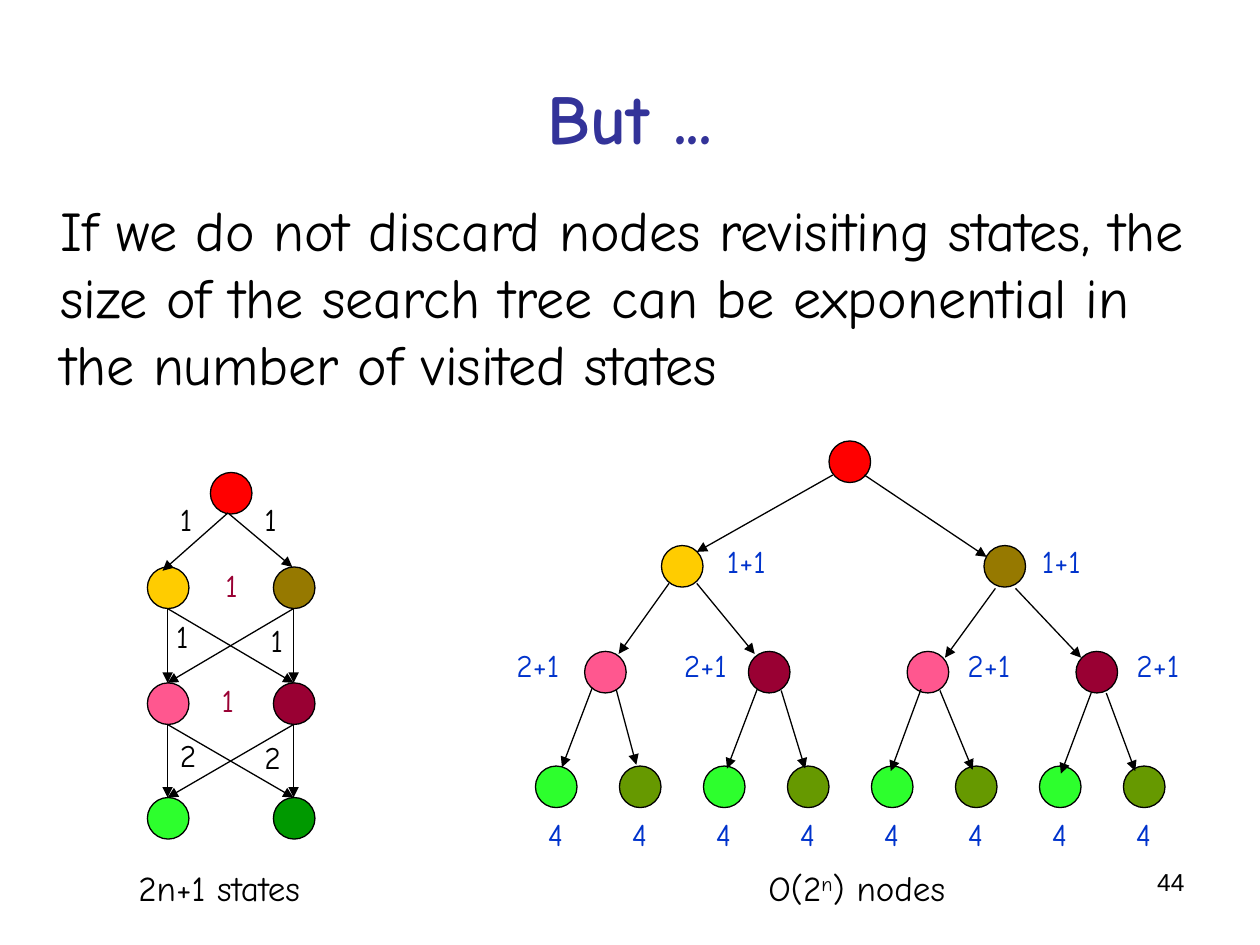
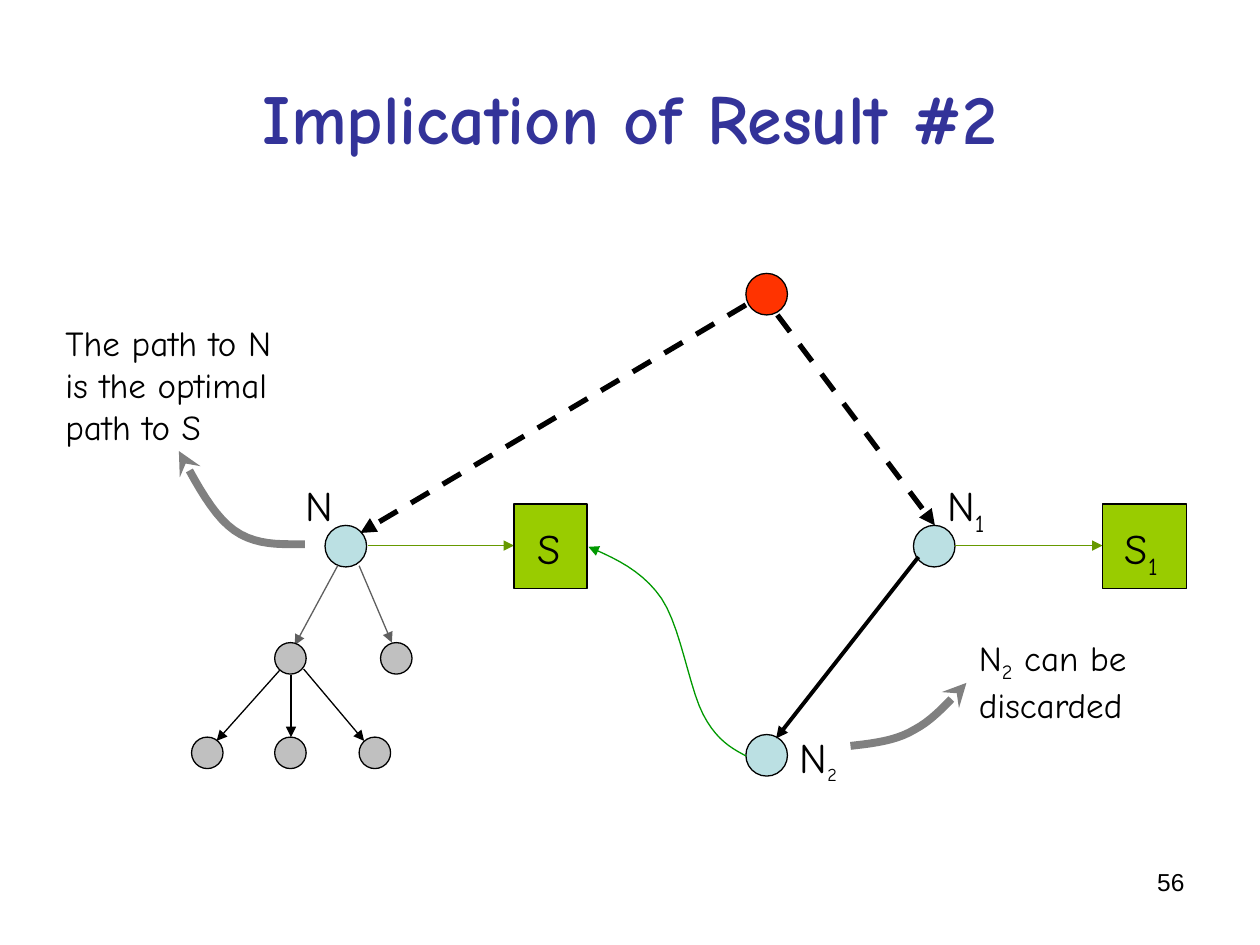
from dataclasses import dataclass

from lxml import etree
from pptx import Presentation
from pptx.dml.color import RGBColor
from pptx.enum.dml import MSO_LINE
from pptx.enum.shapes import MSO_CONNECTOR, MSO_SHAPE
from pptx.enum.text import MSO_ANCHOR, MSO_AUTO_SIZE, PP_ALIGN
from pptx.oxml.ns import qn
from pptx.util import Inches, Pt

OVAL, RECT = MSO_SHAPE.OVAL, MSO_SHAPE.RECTANGLE
STRAIGHT, DASH = MSO_CONNECTOR.STRAIGHT, MSO_LINE.DASH
LEFT, CENTER, RIGHT = PP_ALIGN.LEFT, PP_ALIGN.CENTER, PP_ALIGN.RIGHT
TOP, MIDDLE = MSO_ANCHOR.TOP, MSO_ANCHOR.MIDDLE

BLACK = RGBColor(0x00, 0x00, 0x00)
TITLE_BLUE = RGBColor(0x33, 0x33, 0x99)
COST_BLUE = RGBColor(0x00, 0x33, 0xCC)
RED = RGBColor(0xFF, 0x00, 0x00)
ORANGE_RED = RGBColor(0xFF, 0x33, 0x00)
YELLOW = RGBColor(0xFF, 0xCC, 0x00)
BROWN = RGBColor(0x96, 0x79, 0x00)
PINK = RGBColor(0xFF, 0x57, 0x8F)
WINE = RGBColor(0x99, 0x00, 0x33)
LIGHT_GREEN = RGBColor(0x2D, 0xFF, 0x2D)
GREEN = RGBColor(0x00, 0x99, 0x00)
OLIVE = RGBColor(0x66, 0x99, 0x00)
LIME = RGBColor(0x99, 0xCC, 0x00)
PALE_BLUE = RGBColor(0xBB, 0xE0, 0xE3)
SILVER = RGBColor(0xC0, 0xC0, 0xC0)
GRAY = RGBColor(0x80, 0x80, 0x80)
DARK_GRAY = RGBColor(0x5F, 0x5F, 0x5F)

NODE = 0.33
SMALL_NODE = 0.25
COST_WIDTH = {"1": 0.31, "2": 0.35, "4": 0.35, "1+1": 0.55, "2+1": 0.59}


@dataclass
class Run:
    """A piece of text; baseline is a percentage, negative for subscripts."""
    text: str
    baseline: int = 0
    size: int = 0


def bezier(p0, p1, p2, p3, steps=10):
    """Points of a cubic curve, without its start."""
    for step in range(1, steps + 1):
        t = step / steps
        u = 1 - t
        yield tuple(u**3 * a + 3 * u * u * t * b + 3 * u * t * t * c + t**3 * d
                    for a, b, c, d in zip(p0, p1, p2, p3))


class Deck:
    font = "Comic Neue"

    def __init__(self):
        self.presentation = Presentation()
        self.presentation.slide_width = Inches(10)
        self.presentation.slide_height = Inches(7.5)
        self.shapes = None

    def new_slide(self, title, number):
        blank = self.presentation.slide_layouts[6]
        self.shapes = self.presentation.slides.add_slide(blank).shapes
        self.text((7.17, 6.83, 2.33, 0.52), number, size=14, font="Arial",
                  align=RIGHT, wrap=True)
        self.text((0.5, 0.3, 9, 1.25), title, size=40, color=TITLE_BLUE,
                  bold=True, align=CENTER, anchor=MIDDLE, wrap=True)

    def text(self, at, *paragraphs, size=20, color=BLACK, bold=False,
             font=font, align=LEFT, anchor=TOP, wrap=False, indent=0):
        """Each paragraph is a string or a list of Run; a newline is a line break."""
        frame = self.shapes.add_textbox(*map(Inches, at)).text_frame
        frame.word_wrap = wrap
        frame.auto_size = MSO_AUTO_SIZE.NONE if wrap else MSO_AUTO_SIZE.SHAPE_TO_FIT_TEXT
        frame.vertical_anchor = anchor
        for index, content in enumerate(paragraphs):
            paragraph = frame.paragraphs[0] if index == 0 else frame.add_paragraph()
            paragraph.alignment = align
            if indent:
                paragraph._p.get_or_add_pPr().set("marL", str(Inches(indent)))
            for piece in [Run(content)] if isinstance(content, str) else content:
                for line_index, line in enumerate(piece.text.split("\n")):
                    if line_index:
                        paragraph.add_line_break()
                    run = paragraph.add_run()
                    run.text = line
                    run.font.name = font
                    run.font.size = Pt(piece.size or size)
                    run.font.bold = bold
                    run.font.color.rgb = color
                    if piece.baseline:
                        run._r.get_or_add_rPr().set("baseline", str(piece.baseline * 1000))

    def cost(self, left, top, value, color=BLACK):
        self.text((left, top, COST_WIDTH[value], 0.4), value, size=18, color=color)

    def shape(self, kind, at, fill):
        shape = self.shapes.add_shape(kind, *map(Inches, at))
        shape.shadow.inherit = False
        shape.fill.solid()
        shape.fill.fore_color.rgb = fill
        self.stroke(shape.line, BLACK, 0.75)

    def node(self, left, top, fill, size=NODE):
        self.shape(OVAL, (left, top, size, size), fill)

    def stroke(self, line, color, width, dash=None, head=None):
        line.color.rgb = color
        line.width = Pt(width)
        if dash:
            line.dash_style = dash
        if head:
            etree.SubElement(line._get_or_add_ln(), qn("a:tailEnd"), type=head)

    def arrow(self, start, end, color=BLACK, width=0.75, dash=None):
        connector = self.shapes.add_connector(STRAIGHT, *map(Inches, (*start, *end)))
        self.stroke(connector.line, color, width, dash, "triangle")
        etree.SubElement(connector._element.spPr, qn("a:effectLst"))

    def curve(self, start, *segments, color, width, head):
        """Each segment holds two control points and an end point."""
        points = [start]
        for segment in segments:
            points += bezier(points[-1], *segment)
        emu = [(Inches(x), Inches(y)) for x, y in points]
        builder = self.shapes.build_freeform(*emu[0])
        builder.add_line_segments(emu[1:], close=False)
        outline = builder.convert_to_shape()
        outline.shadow.inherit = False
        outline.fill.background()
        self.stroke(outline.line, color, width, head=head)


def draw_state_graph(deck):
    columns = (1.17, 2.17)
    centers = (1.33, 2.33)
    levels = ((4.5, YELLOW, BROWN), (5.42, PINK, WINE), (6.33, LIGHT_GREEN, GREEN))
    deck.node(1.67, 3.75, RED)
    for top, *fills in levels:
        for left, fill in zip(columns, fills):
            deck.node(left, top, fill)
    deck.arrow((1.81, 4.07), (1.29, 4.53))
    deck.arrow((1.82, 4.08), (2.32, 4.5))
    for (upper, *_), (lower, *_) in zip(levels, levels[1:]):
        for start in centers:
            for end in centers:
                deck.arrow((start, upper + NODE), (end, lower))
    for left, top, value in ((1.33, 3.92, "1"), (2, 3.92, "1"), (1.3, 4.85, "1"),
                             (2.05, 4.88, "1"), (1.33, 5.79, "2"), (2, 5.81, "2")):
        deck.cost(left, top, value)
    deck.cost(1.69, 4.44, "1", WINE)
    deck.cost(1.66, 5.36, "1", WINE)
    deck.text((1, 6.83, 1.69, 0.43), "2n+1 states")


def draw_search_tree(deck):
    deck.node(6.58, 3.5, RED)
    for left, fill, cost_left in ((5.25, YELLOW, 5.67), (7.81, BROWN, 8.17)):
        deck.node(left, 4.33, fill)
        deck.cost(cost_left, 4.25, "1+1", COST_BLUE)
    for left, fill, cost_left in ((4.64, PINK, 4), (5.94, WINE, 5.33),
                                  (7.2, PINK, 7.58), (8.54, WINE, 8.92)):
        deck.node(left, 5.17, fill)
        deck.cost(cost_left, 5.08, "2+1", COST_BLUE)
    for leaf in range(8):
        left = 4.25 + leaf * 2 / 3
        deck.node(left, 6.08, OLIVE if leaf % 2 else LIGHT_GREEN)
        deck.cost(left, 6.42, "4", COST_BLUE)
    branches = (
        ((6.61, 3.77), (5.53, 4.38)), ((6.86, 3.77), (7.83, 4.42)),
        ((5.31, 4.63), (4.91, 5.19)), ((5.53, 4.63), (5.99, 5.19)),
        ((7.9, 4.67), (7.5, 5.22)), ((8.06, 4.67), (8.58, 5.22)),
        ((4.7, 5.46), (4.46, 6.09)), ((4.89, 5.47), (5.05, 6.07)),
        ((6.01, 5.47), (5.77, 6.1)), ((6.2, 5.48), (6.39, 6.1)),
        ((7.31, 5.47), (7.07, 6.12)), ((7.46, 5.48), (7.72, 6.11)),
        ((8.66, 5.5), (8.42, 6.14)), ((8.78, 5.5), (9.01, 6.12)),
    )
    for parent, child in branches:
        deck.arrow(parent, child)
    deck.text((6, 6.83, 1.72, 0.43), [Run("O(2"), Run("n", 30), Run(") nodes")])


def build_exponential_tree(deck):
    deck.new_slide("But ...", "44")
    deck.text((0, 1.5, 9.67, 4.95),
              "If we do not discard nodes revisiting states, the size of the search "
              "tree can be exponential in the number of visited states",
              size=32, wrap=True, indent=0.38)
    draw_state_graph(deck)
    draw_search_tree(deck)


def draw_expanded_nodes(deck):
    """The successors below N."""
    deck.arrow((2.68, 4.49), (2.34, 5.12), DARK_GRAY)
    deck.arrow((2.85, 4.49), (3.11, 5.1), DARK_GRAY)
    for left, top in ((2.18, 5.1), (3.02, 5.1), (1.52, 5.85), (2.18, 5.85), (2.85, 5.85)):
        deck.node(left, top, SILVER, SMALL_NODE)
    for start, end in (((2.22, 5.32), (1.72, 5.88)), ((2.31, 5.36), (2.31, 5.85)),
                       ((2.41, 5.31), (2.89, 5.88))):
        deck.arrow(start, end)


def build_implication(deck):
    deck.new_slide("Implication of Result #2", "56")
    deck.text((2.33, 3.76, 0.47, 0.5), "N", size=24)
    deck.text((7.42, 3.76, 0.57, 0.5), [Run("N"), Run("1", -25)], size=24)
    deck.node(5.92, 2.17, ORANGE_RED)
    for left, top in ((2.58, 4.17), (7.25, 4.17), (5.92, 5.83)):
        deck.node(left, top, PALE_BLUE)
    deck.arrow((5.92, 2.42), (2.86, 4.23), width=3, dash=DASH)
    deck.arrow((6.17, 2.5), (7.42, 4.17), width=3, dash=DASH)
    deck.arrow((7.29, 4.42), (6.16, 5.86), width=2.25)

    for node_right, left, width in ((2.92, 4.08, 0.58), (7.58, 8.75, 0.67)):
        deck.arrow((node_right, 4.33), (left, 4.33), OLIVE)
        deck.shape(RECT, (left, 4, width, 0.67), LIME)
    deck.text((4.17, 4.1, 0.43, 0.5), "S", size=24)
    deck.text((8.83, 4.1, 0.53, 0.5), [Run("S"), Run("1", -25)], size=24)
    draw_expanded_nodes(deck)

    deck.text((0.42, 2.5, 2.12, 1.1), "The path to N \nis the optimal", "path to S")
    deck.curve((2.42, 4.32),
               ((2.22, 4.32), (2.03, 4.33), (1.86, 4.21)),
               ((1.69, 4.09), (1.56, 3.84), (1.42, 3.58)),
               color=GRAY, width=4.5, head="stealth")
    deck.curve((5.92, 6),
               ((5.81, 5.94), (5.69, 5.88), (5.58, 5.67)),
               ((5.47, 5.46), (5.4, 4.97), (5.25, 4.75)),
               ((5.1, 4.53), (4.88, 4.43), (4.67, 4.34)),
               color=GREEN, width=0.75, head="triangle")
    deck.text((6.25, 5.76, 0.57, 0.5), [Run("N"), Run("2", -25, 18)], size=24)
    deck.text((7.67, 5, 1.53, 0.77),
              [Run("N"), Run("2", -25), Run(" can be \ndiscarded")])
    deck.curve((6.75, 5.92),
               ((6.93, 5.9), (7.11, 5.88), (7.26, 5.79)),
               ((7.41, 5.71), (7.54, 5.56), (7.67, 5.42)),
               color=GRAY, width=4.5, head="stealth")


def main():
    deck = Deck()
    build_exponential_tree(deck)
    build_implication(deck)
    deck.presentation.save("out.pptx")


if __name__ == "__main__":
    main()
